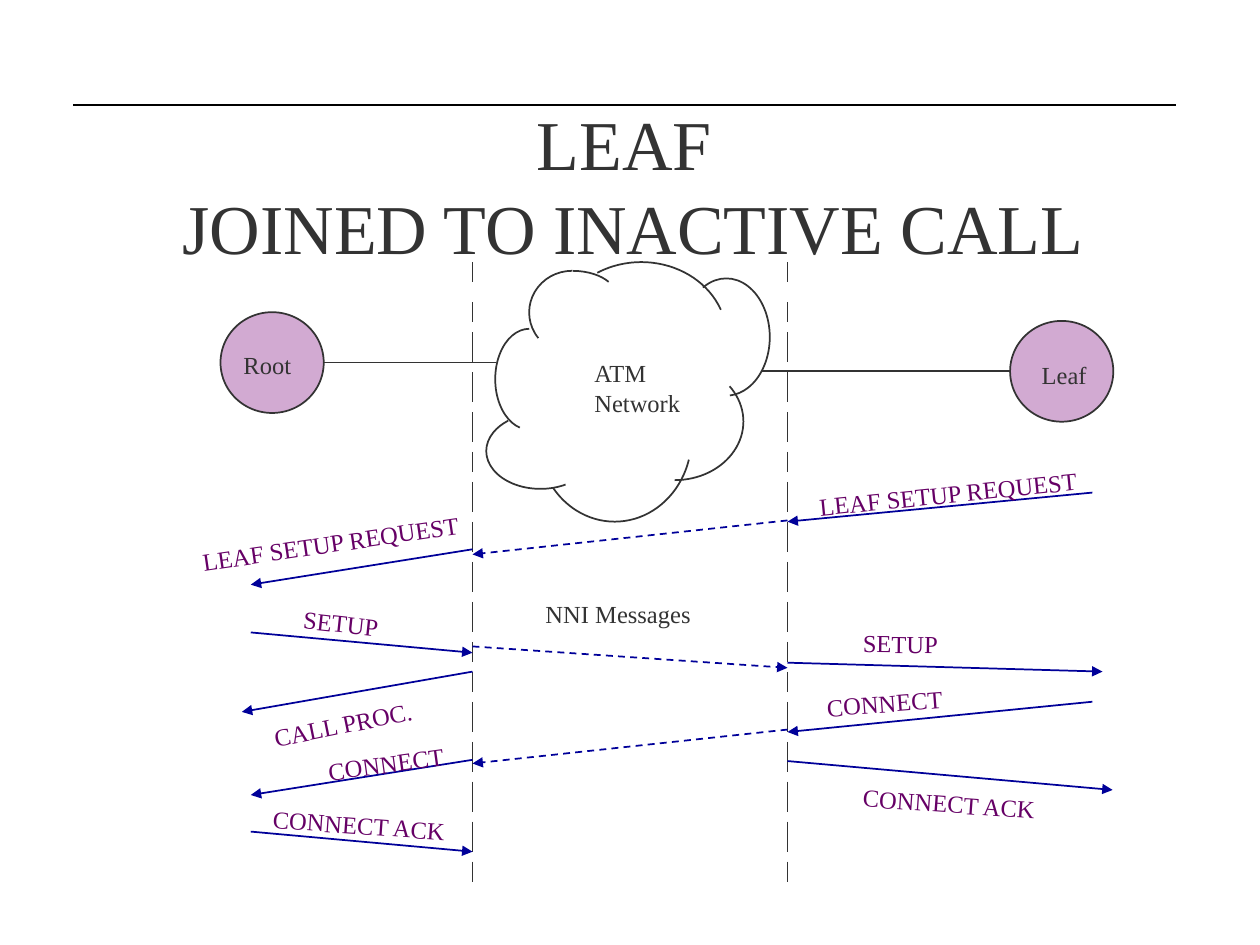
"""Build the slide on a leaf joining an inactive ATM call."""
from itertools import zip_longest

from lxml.etree import SubElement
from pptx import Presentation
from pptx.dml.color import RGBColor
from pptx.enum.dml import MSO_LINE
from pptx.enum.shapes import MSO_CONNECTOR, MSO_SHAPE
from pptx.enum.text import MSO_AUTO_SIZE, PP_ALIGN
from pptx.oxml.ns import qn
from pptx.util import Pt

INK, NAVY, PURPLE, LILAC = "333333", "000099", "660066", "D2AAD2"
ROOT_SIDE, LEAF_SIDE = 270, 450
LABEL_HEIGHT = 24.5
ADJUSTMENT_PER_DEGREE = 0.6

TITLE = ["LEAF ", "JOINED TO INACTIVE CALL"]
NODES = [(126, 178.4), (577.2, 183.4)]
NODE_SIZE = (59, 57.6)
LINKS = [((185, 207.2), (283.6, 207.2)), ((577.2, 212.2), (434.6, 212.2))]

DASH_TOP, DASH_UNIT = 149.8, 5.71
DASH_LENGTHS = [2, 2, 3, 3, 3, 2, 3, 3, 3, 3, 2, 2, 3, 3, 3, 3, 2]
DASH_GAPS = [2]

CLOUD_ARCS = [
    ((317.5, 149.8, 97.9, 86.4), (235.9, 340.7)),
    ((302.4, 154.8, 49, 47.5), (142.7, 270)),
    ((283, 187.9, 38.9, 57.6), (101, 270)),
    ((302.4, 154.8, 49.7, 28.8), (270, 338.5)),
    ((277.9, 236.2, 61.9, 43.2), (53.1, 223.2)),
    ((307.4, 202.3, 87.8, 95.8), (16.4, 141.1)),
    ((346.3, 207.4, 78.5, 67), (327.3, 90)),
    ((390.2, 159.1, 49.7, 67), (244.7, 86.5)),
]

USER_MESSAGES = [
    ((624.2, 281.5), (LEAF_SIDE, 298.1)),
    ((ROOT_SIDE, 313.9), (143.3, 334.1)),
    ((143.3, 361.4), (ROOT_SIDE, 373)),
    ((LEAF_SIDE, 378.7), (630, 383.8)),
    ((ROOT_SIDE, 383.8), (138.2, 406.8)),
    ((624.2, 401), (LEAF_SIDE, 418.3)),
    ((ROOT_SIDE, 434.2), (143.3, 454.3)),
    ((LEAF_SIDE, 434.9), (635.8, 451.4)),
    ((143.3, 475.2), (ROOT_SIDE, 486.7)),
]
NETWORK_MESSAGES = [
    ((LEAF_SIDE, 297.4), (ROOT_SIDE, 316.8)),
    ((ROOT_SIDE, 369.4), (LEAF_SIDE, 381.6)),
    ((LEAF_SIDE, 416.9), (ROOT_SIDE, 436.3)),
]

CAPTIONS = [
    (["NNI Messages"], 304.6, 338.8, 98),
    (["ATM", "Network"], 332.6, 201.2, 64),
    (["Root"], 132, 196.6, 43),
    (["Leaf"], 588.2, 202.3, 42),
]
MESSAGE_LABELS = [
    ("LEAF SETUP REQUEST", 460.8, 270, 163, 354.2),
    ("LEAF SETUP REQUEST", 108, 298.3, 163, 351.7),
    ("SETUP", 166.3, 344.2, 59, 6.2),
    ("SETUP", 486, 355.7, 59, 0.6),
    ("CALL PROC.", 149, 401.8, 95, 348.5),
    ("CONNECT", 465.3, 389.7, 81, 355.6),
    ("CONNECT", 180.3, 424.3, 81, 352.1),
    ("CONNECT ACK", 148.8, 459.4, 114, 4.1),
    ("CONNECT ACK", 486, 447.1, 114, 4.1),
]


def color(value):
    return RGBColor.from_string(value)


def points(*values):
    return [Pt(value) for value in values]


def style_line(line, ink, width=1):
    line.color.rgb = color(ink)
    line.width = Pt(width)


def add_line(shapes, start, end, ink=INK, width=1, arrow=False, dashed=False):
    connector = shapes.add_connector(MSO_CONNECTOR.STRAIGHT, *points(*start, *end))
    style_line(connector.line, ink, width)
    if dashed:
        connector.line.dash_style = MSO_LINE.DASH
    if arrow:
        SubElement(connector.line._get_or_add_ln(), qn("a:tailEnd"), type="triangle")
    SubElement(connector._element.spPr, qn("a:effectLst"))


def add_text(shapes, lines, left, top, width, height=LABEL_HEIGHT, ink=INK,
             size=14, alignment=PP_ALIGN.LEFT, rotation=0):
    shape = shapes.add_textbox(*points(left, top, width, height))
    shape.rotation = rotation
    frame = shape.text_frame
    frame.text = "\n".join(lines)
    frame.word_wrap = False
    frame.auto_size = MSO_AUTO_SIZE.SHAPE_TO_FIT_TEXT
    font_values = {"name": "Times New Roman", "size": Pt(size)}
    for paragraph in frame.paragraphs:
        paragraph.alignment = alignment
        for name, value in font_values.items():
            setattr(paragraph.font, name, value)
        paragraph.font.color.rgb = color(ink)


def add_outline(shapes, kind, box):
    shape = shapes.add_shape(kind, *points(*box))
    shape.shadow.inherit = False
    style_line(shape.line, INK)
    return shape


def add_node(shapes, left, top):
    shape = add_outline(shapes, MSO_SHAPE.OVAL, (left, top, *NODE_SIZE))
    shape.fill.solid()
    shape.fill.fore_color.rgb = color(LILAC)


def add_arc(shapes, box, angles):
    shape = add_outline(shapes, MSO_SHAPE.ARC, box)
    shape.fill.background()
    for index, angle in enumerate(angles):
        shape.adjustments[index] = angle * ADJUSTMENT_PER_DEGREE


def add_boundary(shapes, x):
    y = DASH_TOP
    for length, gap in zip_longest(DASH_LENGTHS, DASH_GAPS, fillvalue=1):
        add_line(shapes, (x, y), (x, y + length * DASH_UNIT))
        y += (length + gap) * DASH_UNIT


def main():
    presentation = Presentation()
    presentation.slide_width, presentation.slide_height = Pt(720), Pt(540)
    shapes = presentation.slides.add_slide(presentation.slide_layouts[6]).shapes
    add_line(shapes, (42, 60), (672, 60), "000000", 0.75)
    add_text(shapes, TITLE, 96.5, 54, 530.6, 103.7, size=40, alignment=PP_ALIGN.CENTER)
    for x in (ROOT_SIDE, LEAF_SIDE):
        add_boundary(shapes, x)
    for box, angles in CLOUD_ARCS:
        add_arc(shapes, box, angles)
    for left, top in NODES:
        add_node(shapes, left, top)
    for start, end in LINKS:
        add_line(shapes, start, end)
    for messages, dashed in ((USER_MESSAGES, False), (NETWORK_MESSAGES, True)):
        for start, end in messages:
            add_line(shapes, start, end, NAVY, arrow=True, dashed=dashed)
    for lines, left, top, width in CAPTIONS:
        add_text(shapes, lines, left, top, width, LABEL_HEIGHT + 17 * (len(lines) - 1))
    for label, left, top, width, rotation in MESSAGE_LABELS:
        add_text(shapes, [label], left, top, width, ink=PURPLE, rotation=rotation)
    presentation.save("out.pptx")


if __name__ == "__main__":
    main()
